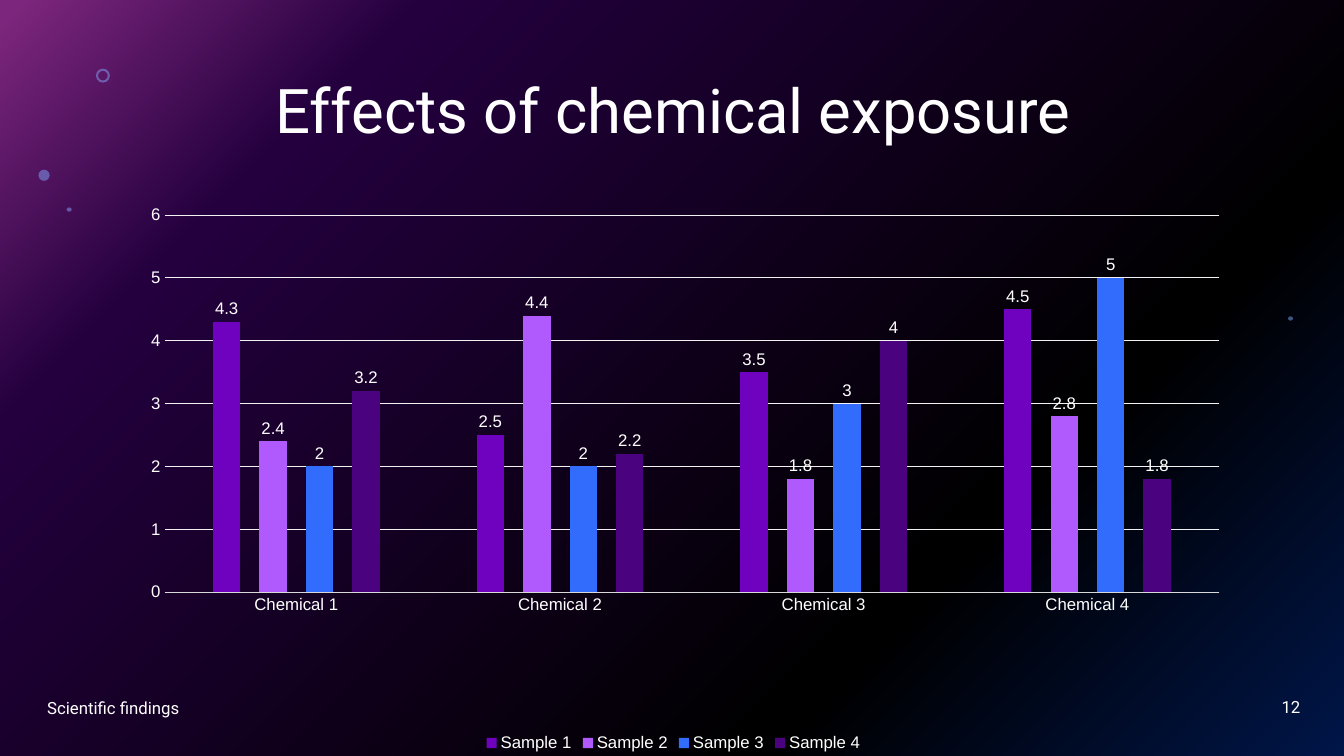
from dataclasses import dataclass

from lxml import etree
from pptx import Presentation
from pptx import util as u
from pptx.chart.data import CategoryChartData
from pptx.dml.color import RGBColor
from pptx.enum import chart as charts, shapes, text
from pptx.oxml import parse_xml
from pptx.oxml.ns import nsdecls, qn

COLORS = {
    "black": "000000",
    "white": "FFFFFF",
    "bubble": "83A7FD",
    "axis": "D9D9D9",
    "grid": "F2F2F2",
}
GLOW = [(0, "022D94"), (28, "000000"), (80, "4A027F"), (99, "FC4EFB")]
PLOT_AREA = {"x": 0.061, "y": 0.052, "w": 0.91, "h": 0.661}
CHEMICALS = [f"Chemical {number}" for number in range(1, 5)]


@dataclass
class Shade:
    """A plain shape with see-through fill; places in points, opacity in percent."""
    kind: shapes.MSO_SHAPE
    left: float
    top: float
    width: float
    height: float
    color: str = "bubble"
    opacity: int = 49


@dataclass
class Sample:
    name: str
    color: str
    values: tuple


SHADES = [
    Shade(shapes.MSO_SHAPE.RECTANGLE, 0, 0, 960, 540, "black", 50),
    Shade(shapes.MSO_SHAPE.DONUT, 68.5, 49, 10, 10),
    Shade(shapes.MSO_SHAPE.OVAL, 27.5, 121.2, 8, 8),
    Shade(shapes.MSO_SHAPE.OVAL, 47.6, 148.2, 3.6, 3),
    Shade(shapes.MSO_SHAPE.OVAL, 920, 226, 3.6, 3),
]
SAMPLES = [
    Sample("Sample 1", "6F02BE", (4.3, 2.5, 3.5, 4.5)),
    Sample("Sample 2", "B059FD", (2.4, 4.4, 1.8, 2.8)),
    Sample("Sample 3", "316CFC", (2, 2, 3, 5)),
    Sample("Sample 4", "4A027F", (3.2, 2.2, 4, 1.8)),
]


def rgb(name: str) -> RGBColor:
    return RGBColor.from_string(COLORS[name])


def set_background(page) -> None:
    """Fill the page with a glow that spreads from the bottom right corner."""
    page.background.fill.gradient()
    old = page.element.find(f".//{qn('a:gradFill')}")
    stops = "".join(
        f'<a:gs pos="{place * 1000}"><a:srgbClr val="{color}"/></a:gs>'
        for place, color in GLOW
    )
    old.getparent().replace(old, parse_xml(
        f'<a:gradFill {nsdecls("a")}><a:gsLst>{stops}</a:gsLst>'
        '<a:path path="circle"><a:fillToRect l="100000" t="100000"/></a:path>'
        '<a:tileRect r="-100000" b="-100000"/></a:gradFill>'
    ))


def add_shade(page, shade: Shade) -> None:
    shape = page.shapes.add_shape(
        shade.kind, u.Pt(shade.left), u.Pt(shade.top),
        u.Pt(shade.width), u.Pt(shade.height),
    )
    shape.shadow.inherit = False
    shape.line.fill.background()
    shape.fill.solid()
    shape.fill.fore_color.rgb = rgb(shade.color)
    color = shape.element.spPr.find(f".//{qn('a:srgbClr')}")
    etree.SubElement(color, qn("a:alpha"), val=str(shade.opacity * 1000))
    if shade.kind == shapes.MSO_SHAPE.DONUT:
        shape.adjustments[0] = 0.15


def add_text(page, words: str, *, left: float, top: float, width: float,
             height: float, size: float = 12, spacing: float = 1.0,
             align: text.PP_ALIGN = text.PP_ALIGN.LEFT) -> None:
    box = page.shapes.add_textbox(u.Pt(left), u.Pt(top), u.Pt(width), u.Pt(height))
    frame = box.text_frame
    frame.word_wrap = True
    frame.vertical_anchor = text.MSO_ANCHOR.MIDDLE
    para = frame.paragraphs[0]
    para.alignment = align
    para.line_spacing = spacing
    span = para.add_run()
    span.text = words
    span.font.name = "Roboto"
    span.font.size = u.Pt(size)
    span.font.color.rgb = rgb("white")


def style_font(font) -> None:
    font.name = "Arial"
    font.size = u.Pt(12)
    font.color.rgb = rgb("white")


def style_line(line, color: str) -> None:
    line.color.rgb = rgb(color)
    line.width = u.Pt(0.75)


def place_plot(chart) -> None:
    """Fix the inner plot area as fractions of the chart."""
    plot_area = chart.element.find(f".//{qn('c:plotArea')}")
    for old in plot_area.findall(qn("c:layout")):
        plot_area.remove(old)
    sizes = "".join(f'<c:{key} val="{part}"/>' for key, part in PLOT_AREA.items())
    plot_area.insert(0, parse_xml(
        f'<c:layout {nsdecls("c")}><c:manualLayout><c:layoutTarget val="inner"/>'
        f'<c:xMode val="edge"/><c:yMode val="edge"/>{sizes}'
        '</c:manualLayout></c:layout>'
    ))


def add_sample_chart(page) -> None:
    data = CategoryChartData()
    data.categories = CHEMICALS
    for sample in SAMPLES:
        data.add_series(sample.name, sample.values)
    chart = page.shapes.add_chart(
        charts.XL_CHART_TYPE.COLUMN_CLUSTERED,
        u.Pt(67), u.Pt(132.5), u.Pt(828), u.Pt(407.5), data,
    ).chart
    style_font(chart.font)
    chart.has_title = False
    chart.has_legend = True
    chart.legend.position = charts.XL_LEGEND_POSITION.BOTTOM
    chart.legend.include_in_layout = False
    style_font(chart.legend.font)

    for axis in (chart.category_axis, chart.value_axis):
        axis.major_tick_mark = axis.minor_tick_mark = charts.XL_TICK_MARK.NONE
        style_font(axis.tick_labels.font)
    style_line(chart.category_axis.format.line, "axis")
    scale = chart.value_axis
    scale.minimum_scale, scale.maximum_scale, scale.major_unit = 0, 6, 1
    scale.format.line.fill.background()
    style_line(scale.major_gridlines.format.line, "grid")

    plot = chart.plots[0]
    plot.vary_by_categories = False
    plot.gap_width, plot.overlap = 355, -70
    for series, sample in zip(plot.series, SAMPLES):
        series.format.fill.solid()
        series.format.fill.fore_color.rgb = RGBColor.from_string(sample.color)
        labels = series.data_labels
        labels.show_value = True
        labels.position = charts.XL_LABEL_POSITION.OUTSIDE_END
        style_font(labels.font)
    place_plot(chart)


def main() -> None:
    deck = Presentation()
    deck.slide_width, deck.slide_height = u.Pt(960), u.Pt(540)
    page = deck.slides.add_slide(deck.slide_layouts[6])
    set_background(page)
    for shade in SHADES:
        add_shade(page, shade)
    add_sample_chart(page)
    add_text(page, "Effects of chemical exposure", left=67, top=28.8, width=828,
             height=104.4, size=44, spacing=0.9, align=text.PP_ALIGN.CENTER)
    add_text(page, "Scientific findings", left=26.6, top=491, width=324, height=28.8)
    add_text(page, "12", left=720, top=490.3, width=216, height=28.8,
             align=text.PP_ALIGN.RIGHT)
    deck.save("out.pptx")


if __name__ == "__main__":
    main()
